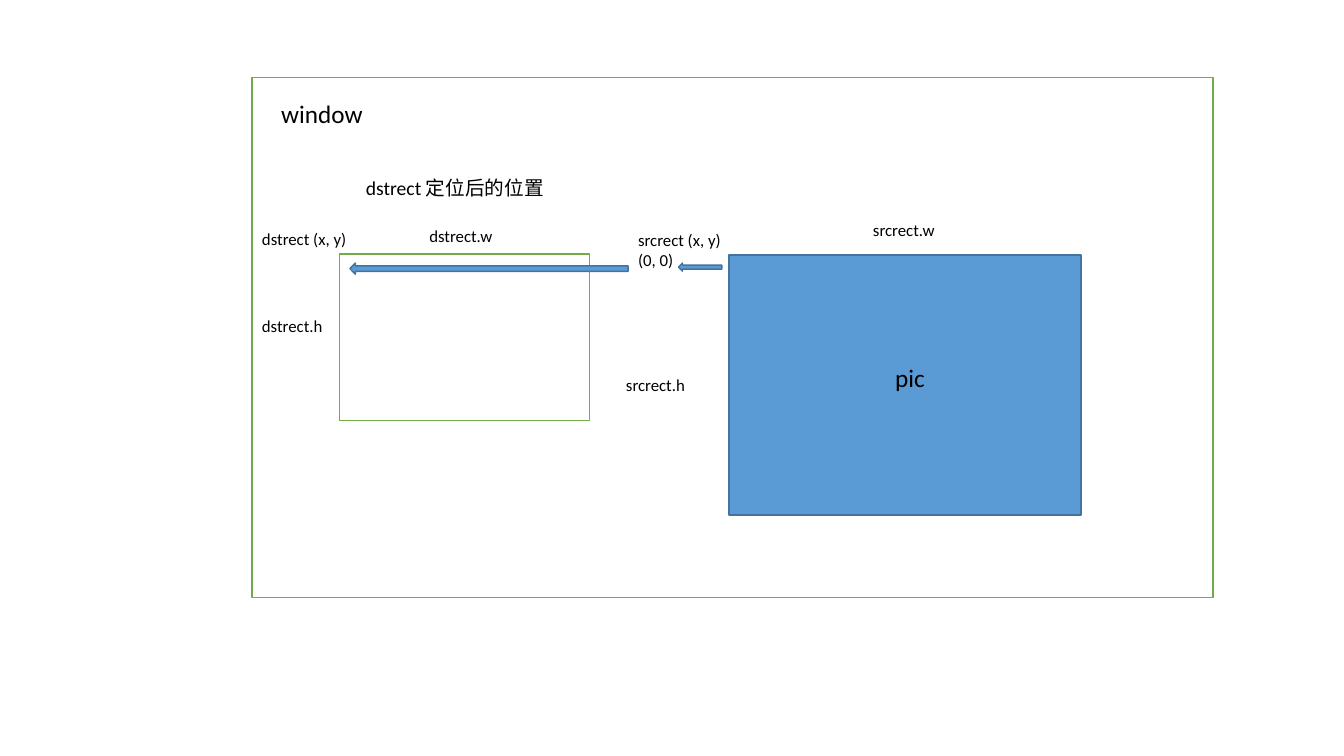
from pptx import Presentation
from pptx.dml.color import RGBColor
from pptx.enum.shapes import MSO_SHAPE
from pptx.enum.text import MSO_AUTO_SIZE
from pptx.util import Inches, Pt

RECTANGLE = MSO_SHAPE.RECTANGLE
LEFT_ARROW = MSO_SHAPE.LEFT_ARROW
FIT_TEXT = MSO_AUTO_SIZE.SHAPE_TO_FIT_TEXT

FONT = "Calibri"
BLACK, WHITE = "000000", "FFFFFF"
GREEN, BLUE, DARK_BLUE = "70AD47", "5B9BD5", "43739E"


def color(hex_code):
    """Turn a hex string into a colour."""
    return RGBColor.from_string(hex_code)


class Diagram:
    """Draws styled elements in one group on a slide."""

    def __init__(self, slide):
        """Start an empty group on the slide."""
        self.shapes = slide.shapes.add_group_shape().shapes

    def shape(self, kind, left, top, width, height, fill=BLUE, line=DARK_BLUE):
        """Add a filled and outlined preset shape."""
        shape = self.shapes.add_shape(
            kind, Inches(left), Inches(top), Inches(width), Inches(height))
        shape.shadow.inherit = False
        shape.fill.solid()
        shape.fill.fore_color.rgb = color(fill)
        shape.line.color.rgb = color(line)
        shape.line.width = Pt(1)

    def label(self, text, left, top, width, height=0.3, size=12, wrap=False):
        """Add a text label, one paragraph per line of text."""
        box = self.shapes.add_textbox(
            Inches(left), Inches(top), Inches(width), Inches(height))
        frame = box.text_frame
        frame.text = text
        frame.word_wrap = wrap
        frame.auto_size = FIT_TEXT
        for paragraph in frame.paragraphs:
            paragraph.font.name = FONT
            paragraph.font.size = Pt(size)
            paragraph.font.color.rgb = color(BLACK)


presentation = Presentation()
presentation.slide_width = Inches(13.33)
presentation.slide_height = Inches(7.5)
blank_layout = presentation.slide_layouts[6]
diagram = Diagram(presentation.slides.add_slide(blank_layout))

# Window and destination rectangle
diagram.shape(RECTANGLE, 2.5, 0.77, 9.53, 5.16, WHITE, GREEN)
diagram.shape(RECTANGLE, 3.37, 2.52, 2.48, 1.65, WHITE, GREEN)
diagram.label("window", 2.69, 0.93, 1.07, 0.4, size=18)
diagram.label("dstrect 定位后的位置", 3.53, 1.7, 2.03, 0.34, size=14)
diagram.label("dstrect (x, y)", 2.5, 2.22, 1.12)
diagram.label("dstrect.h", 2.5, 3.08, 0.86)
diagram.label("dstrect.w", 4.16, 2.19, 0.9)

# Source picture rectangle
diagram.shape(RECTANGLE, 7.23, 2.53, 3.49, 2.58)
diagram.label("pic", 8.78, 3.55, 0.54, 0.4, size=18)
diagram.label("srcrect.h", 6.11, 3.67, 1.12, wrap=True)
diagram.label("srcrect.w", 8.56, 2.13, 1.12, wrap=True)
diagram.label("srcrect (x, y)\n(0, 0)", 6.23, 2.23, 1.11, 0.5)

# Mapping from source origin to destination origin
diagram.shape(LEFT_ARROW, 6.73, 2.61, 0.43, 0.08)
diagram.shape(LEFT_ARROW, 3.47, 2.61, 2.76, 0.11)

presentation.save("out.pptx")
